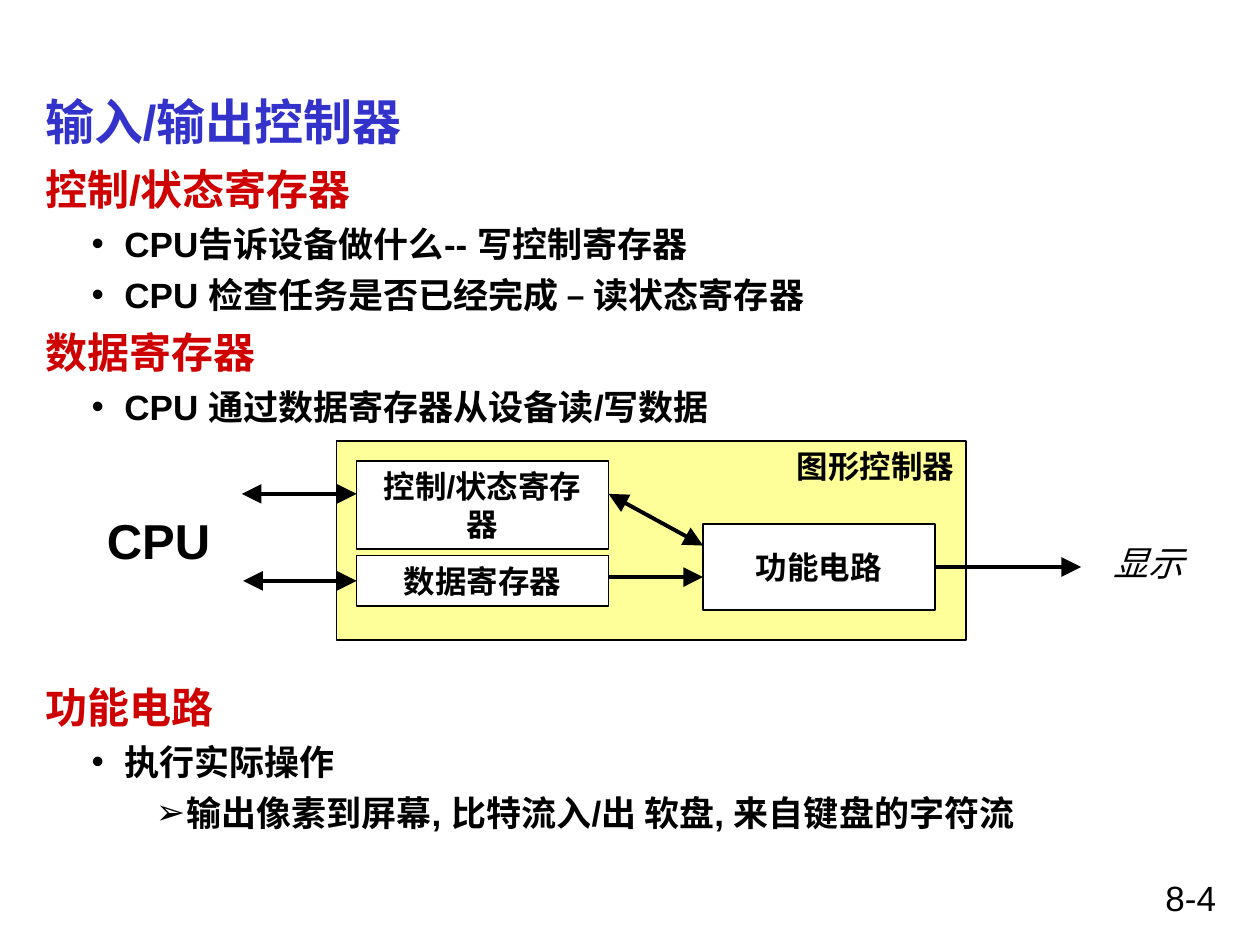
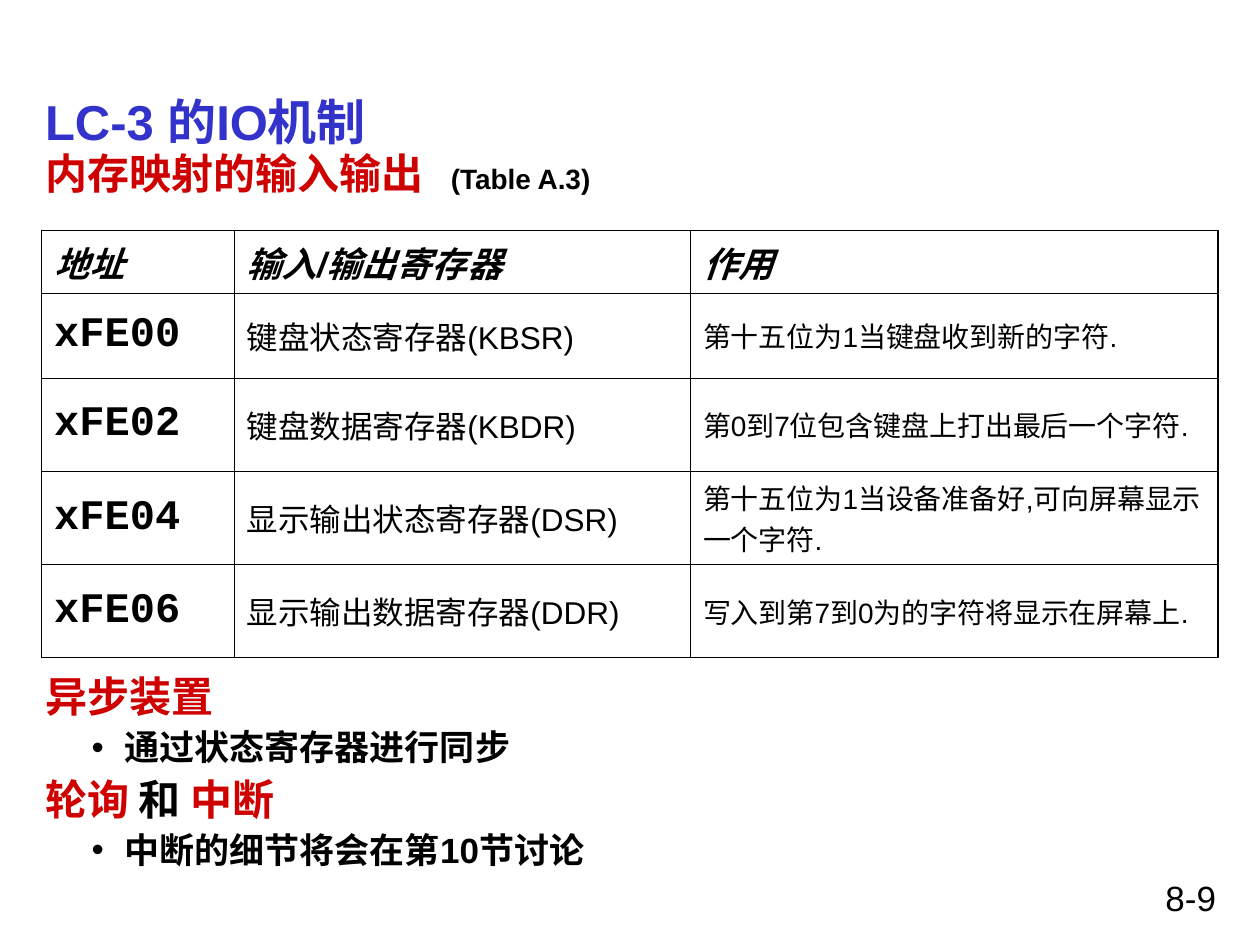
from lxml import etree
from pptx import Presentation
from pptx.dml.color import RGBColor
from pptx.enum.shapes import MSO_CONNECTOR, MSO_SHAPE
from pptx.enum.text import MSO_ANCHOR, PP_ALIGN
from pptx.oxml.ns import qn
from pptx.util import Inches, Pt

BLACK = RGBColor(0x00, 0x00, 0x00)
WHITE = RGBColor(0xFF, 0xFF, 0xFF)
BLUE = RGBColor(0x33, 0x33, 0xCC)
RED = RGBColor(0xCE, 0x00, 0x00)
YELLOW = RGBColor(0xFF, 0xFF, 0x99)
LEFT, CENTER, RIGHT = PP_ALIGN.LEFT, PP_ALIGN.CENTER, PP_ALIGN.RIGHT
TOP, MIDDLE = MSO_ANCHOR.TOP, MSO_ANCHOR.MIDDLE
RECTANGLE, STRAIGHT = MSO_SHAPE.RECTANGLE, MSO_CONNECTOR.STRAIGHT
LEFT_SIDE, RIGHT_SIDE = 1, 3
FONT, CODE_FONT = "Arial", "Courier New"
MARGIN = 0.26
LEVELS = {0: (24, RED, 6, None), 1: (20, BLACK, 5, ("•", 0.63, -0.26)),
          2: (20, BLACK, 5, ("➢", 1.12, -0.24))}


def write(paragraph, text, size=18, color=BLACK, bold=False, italic=False, font=FONT, align=LEFT):
    paragraph.alignment = align
    run = paragraph.add_run()
    run.text = text
    run.font.size = Pt(size)
    run.font.name = font
    run.font.bold = bold
    run.font.italic = italic
    run.font.color.rgb = color


def add_xml(parent, tag, **attributes):
    return etree.SubElement(parent, qn(tag), attributes)


class Deck:
    def __init__(self):
        self.presentation = Presentation()
        self.presentation.slide_width = Inches(10)
        self.presentation.slide_height = Inches(7.5)
        self.slide = None

    def start_slide(self, title, number):
        self.slide = self.presentation.slides.add_slide(self.presentation.slide_layouts[6])
        self.text(number, 7.17, 6.91, 2.58, 0.42, size=20, align=RIGHT)
        self.text(title, MARGIN, 0.67, 9.5, 0.58, anchor=MIDDLE, size=28, color=BLUE, bold=True)

    def frame(self, left, top, width, height, anchor=TOP, wrap=True):
        box = self.slide.shapes.add_textbox(Inches(left), Inches(top), Inches(width), Inches(height))
        box.text_frame.word_wrap = wrap
        box.text_frame.vertical_anchor = anchor
        return box.text_frame

    def text(self, text, left, top, width, height, anchor=TOP, wrap=True, **style):
        frame = self.frame(left, top, width, height, anchor, wrap)
        write(frame.paragraphs[0], text, **style)

    def outline(self, items, top, height, spacing=None, tab=None):
        frame = self.frame(MARGIN, top, 9.5, height)
        for index, (level, parts) in enumerate(items):
            paragraph = frame.add_paragraph() if index else frame.paragraphs[0]
            size, color, space_before, bullet = LEVELS[level]
            paragraph.space_before = Pt(space_before)
            paragraph.line_spacing = spacing
            paragraph.level = level
            for text, style in [(parts, {})] if isinstance(parts, str) else parts:
                write(paragraph, text, **{"size": size, "color": color, "bold": True, **style})
            properties = paragraph._p.get_or_add_pPr()
            if bullet:
                symbol, margin, indent = bullet
                properties.set("marL", str(Inches(margin)))
                properties.set("indent", str(Inches(indent)))
                add_xml(properties, "a:buFont", typeface=FONT)
                add_xml(properties, "a:buChar", char=symbol)
            if tab and index == 0:
                stops = add_xml(properties, "a:tabLst")
                add_xml(stops, "a:tab", pos=str(Inches(tab)), algn="l")

    def block(self, left, top, width, height, text="", fill=WHITE, anchor=TOP):
        block = self.slide.shapes.add_shape(
            RECTANGLE, Inches(left), Inches(top), Inches(width), Inches(height))
        block.shadow.inherit = False
        block.fill.solid()
        block.fill.fore_color.rgb = fill
        block.line.color.rgb = BLACK
        block.line.width = Pt(1)
        if text:
            block.text_frame.word_wrap = True
            block.text_frame.vertical_anchor = anchor
            write(block.text_frame.paragraphs[0], text, bold=True, align=CENTER)
        return block

    def arrow(self, start, end, both=False, source=None, target=None):
        arrow = self.slide.shapes.add_connector(STRAIGHT, *map(Inches, start + end))
        if source:
            arrow.begin_connect(source, RIGHT_SIDE)
        if target:
            arrow.end_connect(target, LEFT_SIDE)
        arrow.line.color.rgb = BLACK
        arrow.line.width = Pt(2.25)
        line = arrow.line._get_or_add_ln()
        for tag in ["a:headEnd", "a:tailEnd"] if both else ["a:tailEnd"]:
            add_xml(line, tag, type="triangle", w="lg", len="lg")
        add_xml(arrow._element.spPr, "a:effectLst")

    def table(self, rows, left, top, widths, heights, header_style, column_styles):
        table = self.slide.shapes.add_table(
            len(rows), len(widths), Inches(left), Inches(top),
            Inches(sum(widths)), Inches(sum(heights))).table
        table.horz_banding = False
        table.first_row = False
        for column, width in zip(table.columns, widths):
            column.width = Inches(width)
        for r, row in enumerate(rows):
            table.rows[r].height = Inches(heights[r])
            for c, text in enumerate(row):
                cell = table.cell(r, c)
                cell.vertical_anchor = MIDDLE if r else TOP
                write(cell.text_frame.paragraphs[0], text, **(column_styles[c] if r else header_style))
                outer = {"L": c == 0, "R": c == len(widths) - 1,
                         "T": r == 0, "B": r == len(rows) - 1}
                self.borders(cell, outer)
                cell.fill.solid()
                cell.fill.fore_color.rgb = WHITE

    def borders(self, cell, outer):
        properties = cell._tc.get_or_add_tcPr()
        for side, is_outer in outer.items():
            line = add_xml(properties, f"a:ln{side}", w=str(Pt(1.08 if is_outer else 0.45)))
            add_xml(add_xml(line, "a:solidFill"), "a:srgbClr", val=str(BLACK))


def controller_slide(deck):
    deck.start_slide("输入/输出控制器", "8-4")
    deck.outline([
        (0, "控制/状态寄存器"),
        (1, "CPU告诉设备做什么-- 写控制寄存器"),
        (1, "CPU 检查任务是否已经完成 – 读状态寄存器"),
        (0, "数据寄存器"),
        (1, "CPU 通过数据寄存器从设备读/写数据"),
    ], top=1.25, height=2.2)
    deck.outline([
        (0, "功能电路"),
        (1, "执行实际操作"),
        (2, "输出像素到屏幕, 比特流入/出 软盘, 来自键盘的字符流"),
    ], top=5.36, height=1.3)

    deck.block(2.67, 3.5, 5, 1.58, fill=YELLOW)
    deck.text("图形控制器", 4.92, 3.5, 2.75, 0.4, bold=True, align=RIGHT)
    deck.block(2.83, 3.66, 2, 0.7, "控制/状态寄存器")
    data_register = deck.block(2.83, 4.41, 2, 0.4, "数据寄存器")
    circuit = deck.block(5.58, 4.16, 1.84, 0.68, "功能电路", anchor=MIDDLE)
    deck.text("CPU", 0.75, 4, 1.02, 0.57, wrap=False, size=28, bold=True)
    deck.text("显示", 8.64, 4.25, 0.95, 0.44, wrap=False, size=20, italic=True, align=CENTER)

    deck.arrow((7.42, 4.5), (8.58, 4.5), source=circuit)
    deck.arrow((1.92, 3.92), (2.83, 3.92), both=True)
    deck.arrow((1.93, 4.61), (2.83, 4.61), both=True, target=data_register)
    deck.arrow((4.83, 4.58), (5.58, 4.58))
    deck.arrow((4.83, 3.92), (5.58, 4.33), both=True)


def mapping_slide(deck):
    deck.start_slide("LC-3 的IO机制", "8-9")
    deck.outline([
        (0, [("内存映射的输入输出\t", {}), ("(Table A.3)", {"size": 16, "color": BLACK})]),
    ], top=1.17, height=0.5, spacing=0.9, tab=3.22)
    deck.outline([
        (0, "异步装置"),
        (1, "通过状态寄存器进行同步"),
        (0, [("轮询 ", {}), ("和 ", {"color": BLACK}), ("中断", {})]),
        (1, "中断的细节将会在第10节讨论"),
    ], top=5.32, height=1.65, spacing=0.9)
    deck.table(
        [("地址", "输入/输出寄存器", "作用"),
         ("xFE00", "键盘状态寄存器(KBSR)", "第十五位为1当键盘收到新的字符."),
         ("xFE02", "键盘数据寄存器(KBDR)", "第0到7位包含键盘上打出最后一个字符."),
         ("xFE04", "显示输出状态寄存器(DSR)", "第十五位为1当设备准备好,可向屏幕显示一个字符."),
         ("xFE06", "显示输出数据寄存器(DDR)", "写入到第7到0为的字符将显示在屏幕上.")],
        left=0.33, top=1.83, widths=[1.53, 3.62, 4.19], heights=[0.5, 0.67] + [0.74] * 3,
        header_style={"size": 20, "bold": True, "italic": True},
        column_styles=[{"size": 24, "bold": True, "font": CODE_FONT}, {"size": 18}, {"size": 16}])


def main():
    deck = Deck()
    controller_slide(deck)
    mapping_slide(deck)
    deck.presentation.save("out.pptx")


if __name__ == "__main__":
    main()
